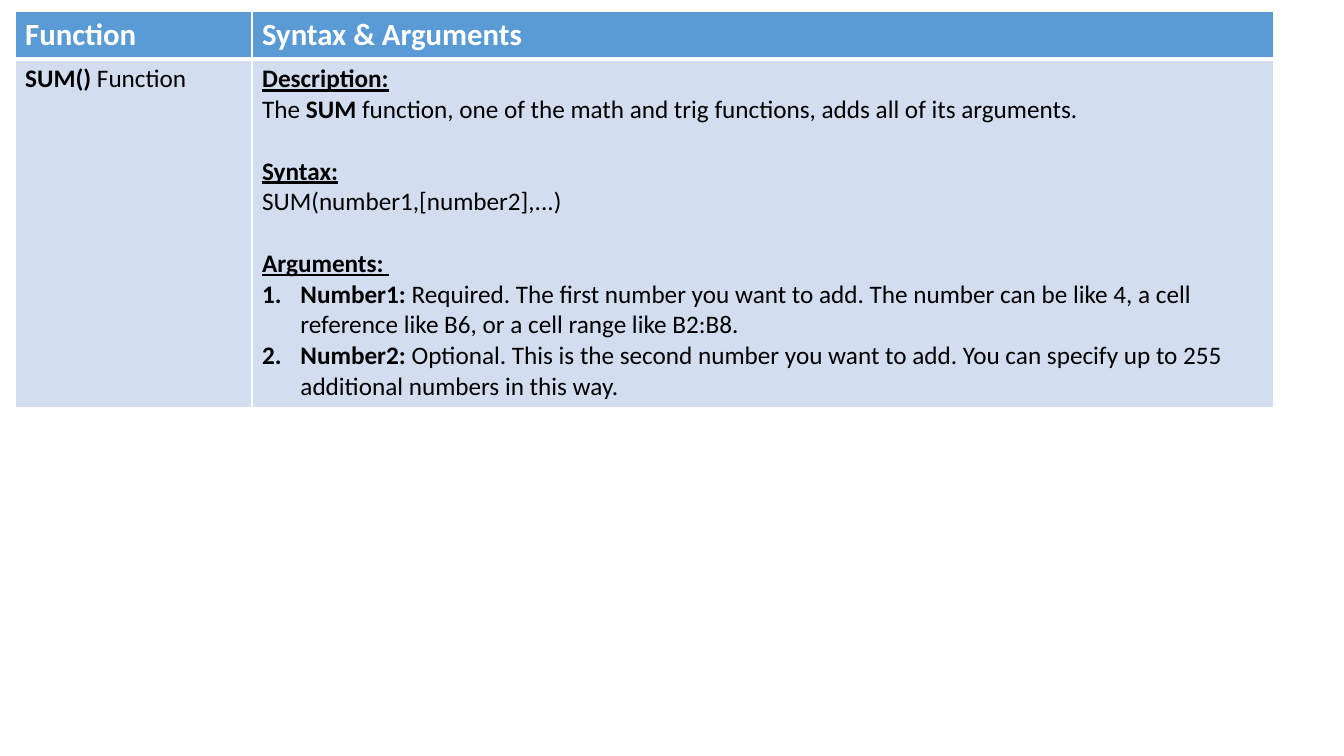
from lxml import etree
from pptx import Presentation
from pptx import util as u
from pptx.dml.color import RGBColor
from pptx.oxml import ns

WIDE, HIGH = 13.33, 7.5
COLS = (2.35, 10.13)
ROWS = (0.46, 3.41)
LINE = 22  # points: height of one line of body text
BLUE, PALE, WHITE, BLACK = "5B9BD5", "D2DEEF", "FFFFFF", "000000"

HEADS = ("Function", "Syntax & Arguments")
# Paragraph: (kind, runs); run: (text, style), with b for bold, u for underline
NAME = [("text", [("SUM()", "b"), (" Function", "")])]
DETAIL = [
    ("text", [("Description:", "bu")]),
    ("text", [("The ", ""), ("SUM", "b"),
              (" function, one of the math and trig functions, "
               "adds all of its arguments.", "")]),
    ("head", [("Syntax:", "bu")]),
    ("text", [("SUM(number1,[number2],...)", "")]),
    ("head", [("Arguments: ", "bu")]),
    ("item", [("Number1: ", "b"),
              ("Required. The first number you want to add. The number can be "
               "like 4, a cell reference like B6, or a cell range like B2:B8.", "")]),
    ("item", [("Number2: ", "b"),
              ("Optional. This is the second number you want to add. You can "
               "specify up to 255 additional numbers in this way.", "")]),
]


def color(code):
    return RGBColor.from_string(code)


def child(node, tag, **attrs):
    return etree.SubElement(node, ns.qn(tag), attrs)


def number(para):
    """Turn a paragraph into an item of a numbered list."""
    props = para._p.get_or_add_pPr()
    inset = u.Inches(0.38)
    props.set("marL", str(inset))
    props.set("indent", str(-inset))
    child(props, "a:buFont", typeface="+mj-lt")
    child(props, "a:buAutoNum", type="arabicPeriod")


def border(cell, base):
    """Draw white cell edges; base is the width of the lower one in points."""
    props = cell._tc.get_or_add_tcPr()
    for side, width in (("L", 1), ("R", 1), ("T", 1), ("B", base)):
        line = child(props, f"a:ln{side}", w=str(u.Pt(width)))
        child(child(line, "a:solidFill"), "a:srgbClr", val=WHITE)


def write(cell, paras, size, ink):
    frame = cell.text_frame
    for i, (kind, runs) in enumerate(paras):
        para = frame.add_paragraph() if i else frame.paragraphs[0]
        if kind == "head":
            para.space_before = u.Pt(LINE)
        elif kind == "item":
            number(para)
        for words, style in runs:
            run = para.add_run()
            run.text = words
            font = run.font
            font.name, font.size = "Calibri", u.Pt(size)
            font.bold, font.underline = "b" in style, "u" in style
            font.color.rgb = color(ink)


def paint(cell, fill, base):
    border(cell, base)
    cell.fill.solid()
    cell.fill.fore_color.rgb = color(fill)


def main():
    deck = Presentation()
    deck.slide_width, deck.slide_height = u.Inches(WIDE), u.Inches(HIGH)
    slide = deck.slides.add_slide(deck.slide_layouts[6])
    box = [u.Inches(n) for n in (0.15, 0.11, sum(COLS), sum(ROWS))]
    table = slide.shapes.add_table(len(ROWS), len(COLS), *box).table
    for col, width in zip(table.columns, COLS):
        col.width = u.Inches(width)
    for row, height in zip(table.rows, ROWS):
        row.height = u.Inches(height)
    for i, (head, body) in enumerate(zip(HEADS, (NAME, DETAIL))):
        top, low = table.cell(0, i), table.cell(1, i)
        paint(top, BLUE, 3)
        write(top, [("text", [(head, "b")])], 22, WHITE)
        paint(low, PALE, 1)
        write(low, body, 18, BLACK)
        # The shared edge keeps the heavier rule of the header row
        low._tc.tcPr.find(ns.qn("a:lnT")).set("w", str(u.Pt(3)))
    deck.save("out.pptx")


if __name__ == "__main__":
    main()
